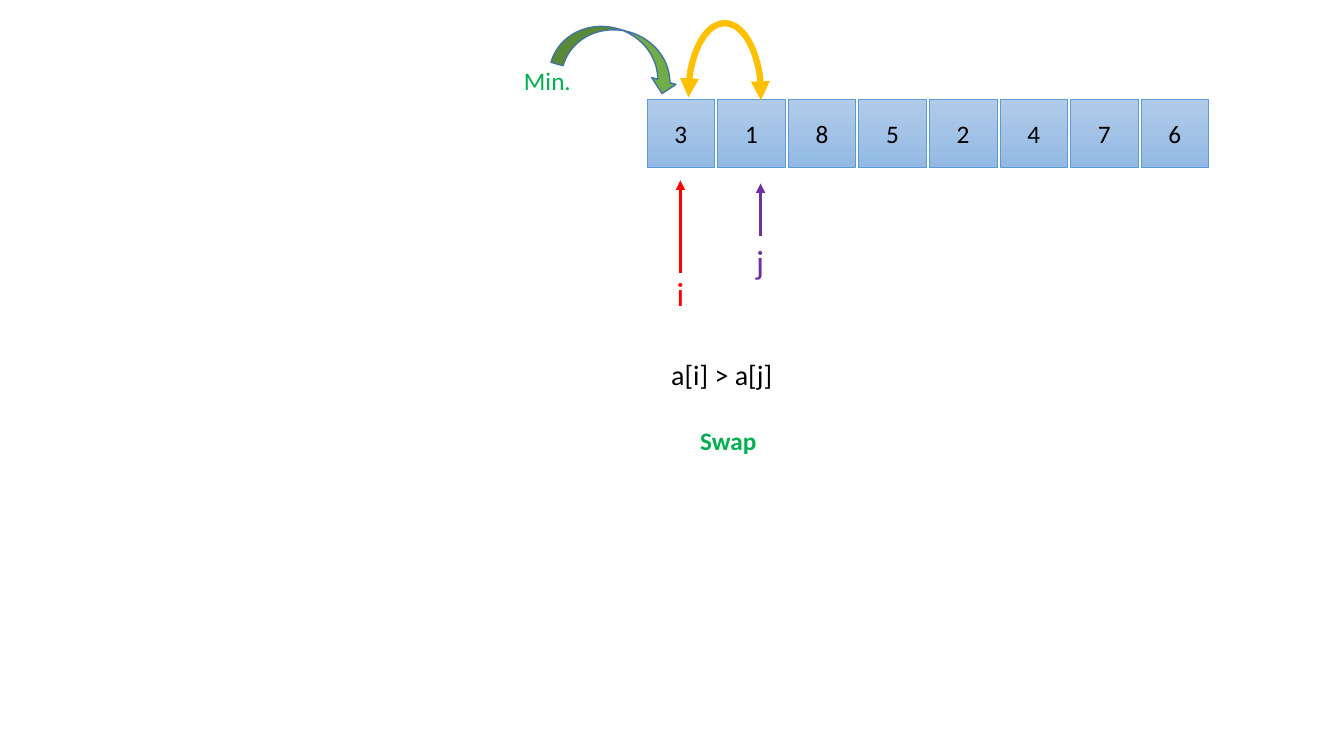
from dataclasses import dataclass

from lxml.etree import SubElement
from pptx import Presentation
from pptx.dml.color import RGBColor
from pptx.enum.shapes import MSO_CONNECTOR, MSO_SHAPE
from pptx.enum.text import MSO_ANCHOR, PP_ALIGN
from pptx.oxml.ns import qn
from pptx.util import Inches, Length, Pt

BLACK = RGBColor(0x00, 0x00, 0x00)
RED = RGBColor(0xFF, 0x00, 0x00)
PURPLE = RGBColor(0x70, 0x30, 0xA0)
GREEN = RGBColor(0x00, 0xB0, 0x50)
LEAF = RGBColor(0x70, 0xAD, 0x47)
NAVY = RGBColor(0x43, 0x73, 0x9E)
GOLD = RGBColor(0xFF, 0xC0, 0x00)
CELL_EDGE = RGBColor(0x5B, 0x9B, 0xD5)
CELL_TOP = RGBColor(0xB1, 0xCB, 0xE9)
CELL_BOTTOM = RGBColor(0x93, 0xB9, 0xE4)

# The grid has ten columns and ten rows to the inch
COLUMNS, ROWS = 133.33, 75
ARRAY_LEFT, ARRAY_TOP, CELL_SIZE, CELL_STEP = 64.2, 9.9, 6.7, 7
ARRAY_VALUES = (3, 1, 8, 5, 2, 4, 7, 6)


@dataclass(frozen=True)
class Area:
    column: float
    row: float
    columns: float
    rows: float

    def box(self) -> tuple[Length, ...]:
        return tuple(grid(n) for n in (self.column, self.row, self.columns, self.rows))


@dataclass(frozen=True)
class Label:
    text: str
    area: Area
    size: int
    color: RGBColor
    align: PP_ALIGN = PP_ALIGN.CENTER
    bold: bool = False


@dataclass(frozen=True)
class Pointer:
    column: float
    tail_row: float
    tip_row: float
    color: RGBColor


LABELS = (
    Label("i", Area(65.4, 26.6, 4.2, 5), 24, RED),
    Label("j", Area(73.3, 23.4, 4.2, 5), 24, PURPLE),
    Label("Min.", Area(51, 6, 7.6, 4), 18, GREEN, PP_ALIGN.LEFT),
    Label("a[i] > a[j]", Area(65.6, 35, 15.4, 4.4), 20, BLACK, PP_ALIGN.LEFT),
    Label("Swap", Area(64.1, 41.7, 16.3, 4), 18, GREEN, bold=True),
)
POINTERS = (
    Pointer(67.5, 27.1, 17.9, RED),
    Pointer(75.45, 23.4, 18.2, PURPLE),
)


def grid(units: float) -> Length:
    return Inches(units / 10)


def write(frame, text: str, *, size: int, color: RGBColor,
          align: PP_ALIGN = PP_ALIGN.CENTER, bold: bool = False,
          anchor: MSO_ANCHOR = MSO_ANCHOR.TOP) -> None:
    frame.word_wrap = True
    frame.vertical_anchor = anchor
    paragraph = frame.paragraphs[0]
    paragraph.alignment = align
    run = paragraph.add_run()
    run.text = text
    run.font.name = "Calibri"
    run.font.size = Pt(size)
    run.font.bold = bold
    run.font.color.rgb = color


def add_outlined(slide, kind: MSO_SHAPE, area: Area, color: RGBColor, width: float):
    shape = slide.shapes.add_shape(kind, *area.box())
    shape.shadow.inherit = False
    shape.line.color.rgb = color
    shape.line.width = Pt(width)
    return shape


def add_arrowheads(shape, *ends: str) -> None:
    outline = shape._element.spPr.get_or_add_ln()
    for end in ends:
        SubElement(outline, qn(f"a:{end}"), type="triangle")


def add_cell(slide, index: int, value: int) -> None:
    area = Area(ARRAY_LEFT + index * CELL_STEP, ARRAY_TOP, CELL_SIZE, CELL_SIZE)
    cell = add_outlined(slide, MSO_SHAPE.RECTANGLE, area, CELL_EDGE, 0.5)
    cell.fill.gradient()
    cell.fill.gradient_angle = 270
    for stop, color in zip(cell.fill.gradient_stops, (CELL_TOP, CELL_BOTTOM)):
        stop.color.rgb = color
    write(cell.text_frame, str(value), size=18, color=BLACK, anchor=MSO_ANCHOR.MIDDLE)


def add_pointer(slide, pointer: Pointer) -> None:
    arrow = slide.shapes.add_connector(
        MSO_CONNECTOR.STRAIGHT, grid(pointer.column), grid(pointer.tail_row),
        grid(pointer.column), grid(pointer.tip_row))
    arrow.line.color.rgb = pointer.color
    arrow.line.width = Pt(2.25)
    add_arrowheads(arrow, "tailEnd")
    SubElement(arrow._element.spPr, qn("a:effectLst"))


def add_label(slide, label: Label) -> None:
    box = slide.shapes.add_textbox(*label.area.box())
    write(box.text_frame, label.text, size=label.size, color=label.color,
          align=label.align, bold=label.bold)


def add_minimum_arrow(slide) -> None:
    area = Area(55.1, 3, 12.7, 5)
    arrow = add_outlined(slide, MSO_SHAPE.CURVED_DOWN_ARROW, area, NAVY, 1)
    arrow.rotation = 15.7
    arrow.fill.solid()
    arrow.fill.fore_color.rgb = LEAF


def add_swap_arc(slide) -> None:
    arc = add_outlined(slide, MSO_SHAPE.ARC, Area(68.3, 2.3, 7.2, 14.3), GOLD, 4.5)
    arc.fill.background()
    arc.adjustments[0] = 105.96
    arc.adjustments[1] = 4.82
    add_arrowheads(arc, "headEnd", "tailEnd")


def main() -> None:
    deck = Presentation()
    deck.slide_width, deck.slide_height = grid(COLUMNS), grid(ROWS)
    slide = deck.slides.add_slide(deck.slide_layouts[6])

    # Array being sorted
    for index, value in enumerate(ARRAY_VALUES):
        add_cell(slide, index, value)

    # Index pointers and captions
    for pointer in POINTERS:
        add_pointer(slide, pointer)
    for label in LABELS:
        add_label(slide, label)

    # Current minimum and the swap
    add_minimum_arrow(slide)
    add_swap_arc(slide)

    deck.save("out.pptx")


if __name__ == "__main__":
    main()
